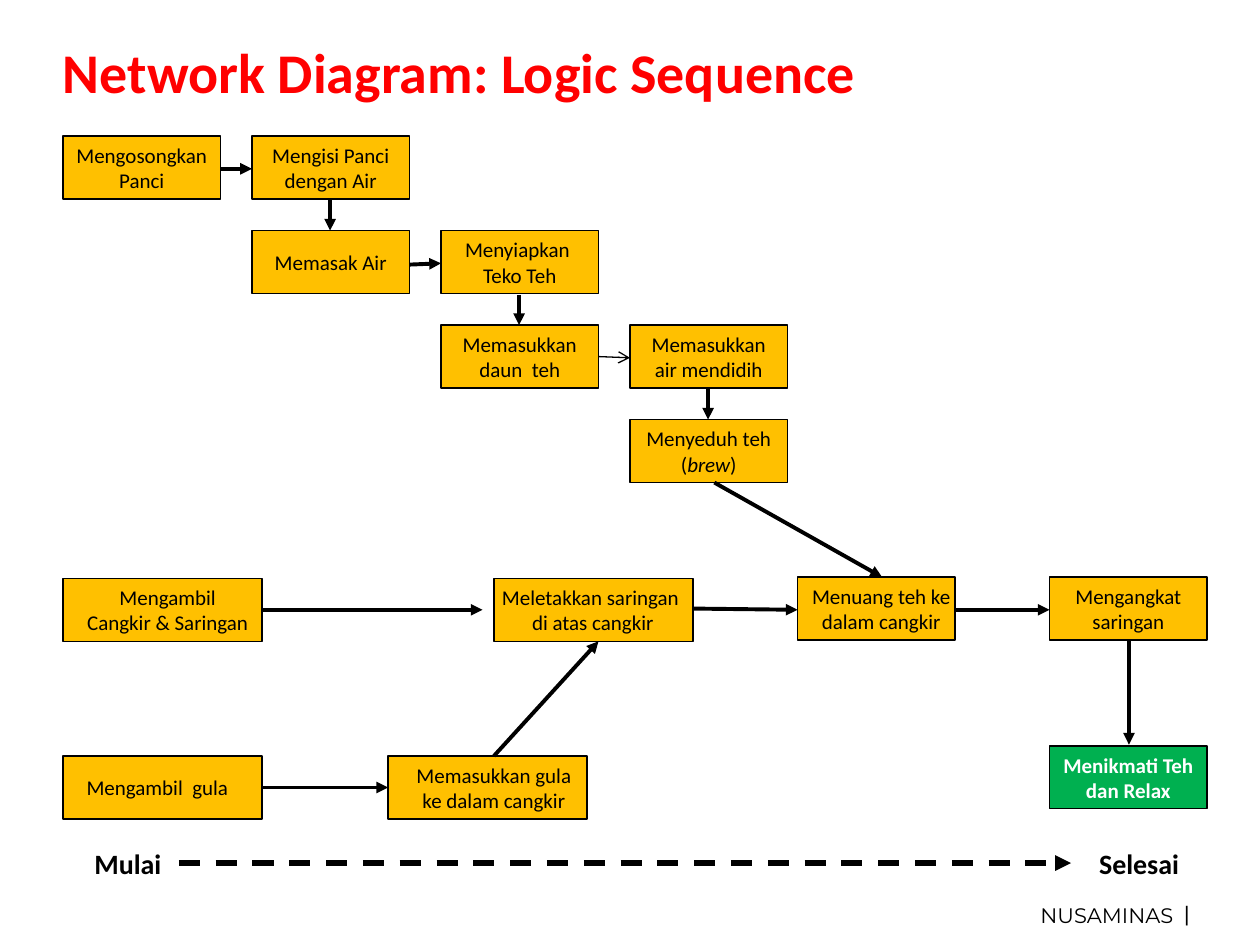
from pptx import Presentation
from pptx.dml.color import RGBColor
from pptx.enum.dml import MSO_LINE
from pptx.enum.shapes import MSO_CONNECTOR, MSO_SHAPE
from pptx.enum.text import MSO_ANCHOR, PP_ALIGN
from pptx.oxml.ns import qn
from pptx.util import Inches, Pt
from lxml.etree import SubElement

COLORS = {"title": "FF0000", "step": "FFC000", "finish": "00B050",
          "ink": "000000", "light": "FFFFFF"}
STEP_HEIGHT = 0.5
NARROW, WIDE = 1.25, 1.58

STAIR_STEPS = [
    (0, 0, "Mengosongkan Panci"),
    (1, 0, "Mengisi Panci dengan Air"),
    (1, 1, "Memasak Air"),
    (2, 1, "Menyiapkan  Teko Teh"),
    (2, 2, "Memasukkan daun  teh"),
    (3, 2, "Memasukkan air mendidih"),
    (3, 3, "Menyeduh teh\n(*brew*)"),
]

LOWER_STEPS = [
    (0.5, 4.59, WIDE, "Mengambil Cangkir & Saringan", 0.18, 0.1),
    (3.92, 4.59, WIDE, "Meletakkan saringan \vdi atas cangkir", 0.01, 0.02),
    (6.33, 4.58, NARROW, "Menuang teh ke dalam cangkir", 0.1, 0.02),
    (8.33, 4.58, NARROW, "Mengangkat saringan", 0.1, 0.1),
    (0.5, 6, WIDE, "Mengambil  gula", 0.1, 0.18),
    (3.08, 6, WIDE, "Memasukkan gula ke dalam cangkir", 0.19, 0.09),
]

ARROWS = [
    (1.75, 1.34, 2, 1.34),
    (2.62, 1.59, 2.62, 1.83),
    (3.25, 2.1, 3.5, 2.09),
    (4.12, 2.34, 4.12, 2.58),
    (5.62, 3.09, 5.62, 3.33),
    (5.67, 3.83, 7, 4.58),
    (2.08, 4.84, 3.83, 4.84),
    (5.5, 4.83, 6.33, 4.84),
    (7.58, 4.84, 8.33, 4.84),
    (8.96, 5.09, 8.96, 5.91),
    (2.08, 6.25, 3.08, 6.25),
    (3.92, 6, 4.75, 5.09),
]


def color(name):
    return RGBColor.from_string(COLORS[name])


def write_text(frame, text, size, ink="ink", bold=False, font="Calibri",
               align=PP_ALIGN.CENTER):
    frame.word_wrap = True
    for number, line in enumerate(text.split("\n")):
        para = frame.add_paragraph() if number else frame.paragraphs[0]
        para.alignment = align
        para.font.name = font
        para.font.size = Pt(size)
        para.font.bold = bold
        para.font.color.rgb = color(ink)
        if "*" not in line:
            para.text = line
            continue
        for position, piece in enumerate(line.split("*")):
            span = para.add_run()
            span.text = piece
            span.font.italic = position % 2 == 1


def add_label(page, left, top, width, height, text, size, margin=None, **style):
    box = page.shapes.add_textbox(Inches(left), Inches(top), Inches(width), Inches(height))
    frame = box.text_frame
    if margin is not None:
        frame.margin_left = frame.margin_right = Inches(margin)
        frame.margin_top = frame.margin_bottom = Inches(margin)
    write_text(frame, text, size, **style)
    return box


def add_step(page, left, top, width, text, inset_left=0.1, inset_right=0.1,
             fill="step", **style):
    step = page.shapes.add_shape(MSO_SHAPE.RECTANGLE, Inches(left), Inches(top),
                                 Inches(width), Inches(STEP_HEIGHT))
    step.shadow.inherit = False
    step.fill.solid()
    step.fill.fore_color.rgb = color(fill)
    step.line.color.rgb = color("ink")
    step.line.width = Pt(0.75)
    frame = step.text_frame
    frame.margin_left, frame.margin_right = Inches(inset_left), Inches(inset_right)
    frame.vertical_anchor = MSO_ANCHOR.MIDDLE
    write_text(frame, text, 12, **style)


def add_arrow(page, start_x, start_y, end_x, end_y, width=2.25, head="triangle", dash=None):
    arrow = page.shapes.add_connector(MSO_CONNECTOR.STRAIGHT, Inches(start_x), Inches(start_y),
                                      Inches(end_x), Inches(end_y))
    arrow.line.color.rgb = color("ink")
    arrow.line.width = Pt(width)
    if dash:
        arrow.line.dash_style = dash
    SubElement(arrow.line._get_or_add_ln(), qn("a:tailEnd"), type=head)
    SubElement(arrow._element.spPr, qn("a:effectLst"))


def main():
    deck = Presentation()
    deck.slide_width, deck.slide_height = Inches(10), Inches(7.5)
    page = deck.slides.add_slide(deck.slide_layouts[6])

    add_label(page, 0.5, 0.3, 9, 0.54, "Network Diagram: Logic Sequence", 32,
              margin=0, ink="title", bold=True, align=PP_ALIGN.LEFT)

    for column, row, text in STAIR_STEPS:
        add_step(page, 0.5 + 1.5 * column, 1.08 + 0.75 * row, NARROW, text)
    for step in LOWER_STEPS:
        add_step(page, *step)
    add_step(page, 8.33, 5.92, NARROW, "Menikmati Teh dan Relax",
             fill="finish", ink="light", bold=True)

    for arrow in ARROWS:
        add_arrow(page, *arrow)
    add_arrow(page, 4.75, 2.83, 5, 2.84, width=0.75, head="arrow")

    add_label(page, 0.6, 6.67, 0.83, 0.37, "Mulai", 16, bold=True)
    add_label(page, 8.5, 6.67, 1.08, 0.37, "Selesai", 16, bold=True)
    add_arrow(page, 1.42, 6.85, 8.5, 6.85, width=3, dash=MSO_LINE.DASH)

    add_label(page, 8.11, 7.11, 1.35, 0.31, "NUSAMINAS", 12, font="Montserrat")
    divider = add_label(page, 9.39, 7.14, 0.05, 0.21, "|", 12, margin=0,
                        font="Arial", align=PP_ALIGN.RIGHT)
    divider.text_frame.word_wrap = False
    divider.text_frame.vertical_anchor = MSO_ANCHOR.MIDDLE

    deck.save("out.pptx")


if __name__ == "__main__":
    main()
